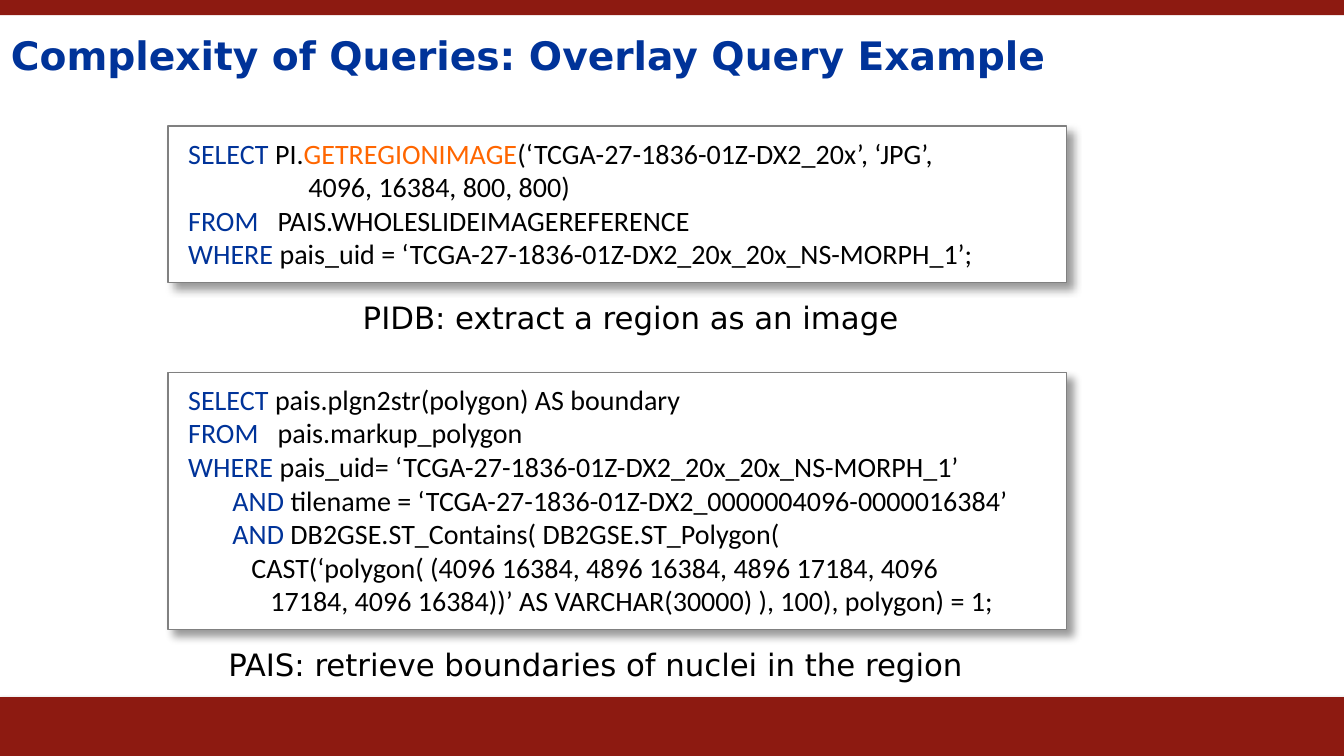
from typing import NamedTuple

import lxml.etree
import pptx
import pptx.dml.color
import pptx.enum.shapes
import pptx.enum.text
import pptx.oxml.ns
import pptx.util

RGBColor = pptx.dml.color.RGBColor
RED = RGBColor(0x8D, 0x1A, 0x11)
BLUE = RGBColor(0x00, 0x33, 0x99)
ORANGE = RGBColor(0xFF, 0x66, 0x00)
BLACK = RGBColor(0x00, 0x00, 0x00)
WHITE = RGBColor(0xFF, 0xFF, 0xFF)
GREY = RGBColor(0x80, 0x80, 0x80)

HEADING_FONT = "DejaVu Sans"
CODE_FONT = "Calibri"

# The slide is a grid of 160 columns by 90 rows
COLUMNS, ROWS = 160, 90
SLIDE_W, SLIDE_H = pptx.util.Inches(13.33), pptx.util.Inches(7.5)


class Box(NamedTuple):
    col: float
    row: float
    cols: float
    rows: float

    def place(self) -> tuple[int, int, int, int]:
        w, h = SLIDE_W / COLUMNS, SLIDE_H / ROWS
        return (round(self.col * w), round(self.row * h),
                round(self.cols * w), round(self.rows * h))


class Shadow(NamedTuple):
    opacity: int
    blur: float
    distance: float
    angle: int


class Span(NamedTuple):
    text: str
    color: RGBColor = BLACK


class Query(NamedTuple):
    box: Box
    lines: list[list[Span]]
    caption: str
    caption_box: Box


class Bar(NamedTuple):
    box: Box
    shadow: Shadow | None = None


def keyword(text: str) -> Span:
    return Span(text, BLUE)


CODE_SHADOW = Shadow(40, 6, 6, 45)

BARS = [
    Bar(Box(0, 83, COLUMNS, 7), Shadow(35, 3.1, 1.8, 90)),
    Bar(Box(0, 0, COLUMNS, 1.8)),
]

QUERIES = [
    Query(
        Box(20, 15, 107, 18.6),
        [
            [keyword("SELECT "), Span("PI."), Span("GETREGIONIMAGE", ORANGE),
             Span("(‘TCGA-27-1836-01Z-DX2_20x’, ‘JPG’,")],
            [Span("                   4096, 16384, 800, 800)")],
            [keyword("FROM"), Span("   PAIS.WHOLESLIDEIMAGEREFERENCE")],
            [keyword("WHERE "),
             Span("pais_uid = ‘TCGA-27-1836-01Z-DX2_20x_20x_NS-MORPH_1’;")],
        ],
        "PIDB: extract a region as an image",
        Box(42, 35, 68.3, 5.6),
    ),
    Query(
        Box(20, 44.3, 107, 30.7),
        [
            [keyword("SELECT"), Span(" pais.plgn2str(polygon) AS boundary")],
            [keyword("FROM   "), Span("pais.markup_polygon")],
            [keyword("WHERE "),
             Span("pais_uid= ‘TCGA-27-1836-01Z-DX2_20x_20x_NS-MORPH_1’")],
            [keyword("       AND "),
             Span("tilename = ‘TCGA-27-1836-01Z-DX2_0000004096-0000016384’")],
            [keyword("       AND"),
             Span(" DB2GSE.ST_Contains( DB2GSE.ST_Polygon(")],
            [Span("          CAST(‘polygon( (4096 16384, 4896 16384, 4896 17184, 4096")],
            [Span("             17184, 4096 16384))’ AS VARCHAR(30000) ), 100), polygon) = 1;")],
        ],
        "PAIS: retrieve boundaries of nuclei in the region",
        Box(26, 76.3, 92.3, 5.6),
    ),
]


def add_shadow(sp, shadow: Shadow) -> None:
    qn = pptx.oxml.ns.qn
    effects = sp._element.spPr.find(qn("a:effectLst"))
    outer = lxml.etree.SubElement(
        effects, qn("a:outerShdw"),
        blurRad=str(pptx.util.Pt(shadow.blur)),
        dist=str(pptx.util.Pt(shadow.distance)),
        dir=str(shadow.angle * 60000), algn="tl", rotWithShape="0")
    color = lxml.etree.SubElement(outer, qn("a:srgbClr"), val=str(BLACK))
    lxml.etree.SubElement(color, qn("a:alpha"), val=str(shadow.opacity * 1000))


def add_rect(slide, box: Box, fill: RGBColor, shadow: Shadow | None):
    sp = slide.shapes.add_shape(
        pptx.enum.shapes.MSO_SHAPE.RECTANGLE, *box.place())
    sp.shadow.inherit = False
    sp.fill.solid()
    sp.fill.fore_color.rgb = fill
    sp.line.fill.background()
    if shadow:
        add_shadow(sp, shadow)
    return sp


def set_font(p, name: str, size: int, color: RGBColor | None = None) -> None:
    p.font.name = name
    p.font.size = pptx.util.Pt(size)
    if color is not None:
        p.font.color.rgb = color


def add_title(slide, text: str) -> None:
    sp = slide.shapes.title
    sp.left, sp.top, sp.width, sp.height = Box(1.3, 2.3, 156.2, 9.5).place()
    tf = sp.text_frame
    tf.text = text
    tf.auto_size = pptx.enum.text.MSO_AUTO_SIZE.NONE
    tf.vertical_anchor = pptx.enum.text.MSO_ANCHOR.MIDDLE
    tf.margin_left = tf.margin_top = 0
    p = tf.paragraphs[0]
    p.alignment = pptx.enum.text.PP_ALIGN.LEFT
    p.line_spacing = 0.95
    set_font(p, HEADING_FONT, 28, BLUE)
    p.font.bold = True


def add_code(slide, box: Box, lines: list[list[Span]]) -> None:
    sp = add_rect(slide, box, WHITE, CODE_SHADOW)
    sp.line.color.rgb = GREY
    sp.line.width = pptx.util.Pt(0.75)
    tf = sp.text_frame
    tf.word_wrap = True
    tf.auto_size = pptx.enum.text.MSO_AUTO_SIZE.SHAPE_TO_FIT_TEXT
    tf.vertical_anchor = pptx.enum.text.MSO_ANCHOR.TOP
    tf.margin_left = tf.margin_right = pptx.util.Inches(0.2)
    tf.margin_top = tf.margin_bottom = pptx.util.Inches(0.1)
    for i, line in enumerate(lines):
        p = tf.add_paragraph() if i else tf.paragraphs[0]
        p.alignment = pptx.enum.text.PP_ALIGN.LEFT
        set_font(p, CODE_FONT, 20)
        for span in line:
            r = p.add_run()
            r.text = span.text
            r.font.color.rgb = span.color


def add_caption(slide, box: Box, text: str) -> None:
    tf = slide.shapes.add_textbox(*box.place()).text_frame
    tf.text = text
    tf.word_wrap = False
    tf.auto_size = pptx.enum.text.MSO_AUTO_SIZE.SHAPE_TO_FIT_TEXT
    set_font(tf.paragraphs[0], HEADING_FONT, 22, BLACK)


def main() -> None:
    prs = pptx.Presentation()
    prs.slide_width, prs.slide_height = SLIDE_W, SLIDE_H
    slide = prs.slides.add_slide(prs.slide_layouts.get_by_name("Title Only"))

    # Bars along the bottom and top edges
    for bar in BARS:
        add_rect(slide, bar.box, RED, bar.shadow)

    add_title(slide, "Complexity of Queries: Overlay Query Example")

    # Each query with its caption below
    for query in QUERIES:
        add_code(slide, query.box, query.lines)
        add_caption(slide, query.caption_box, query.caption)

    prs.save("out.pptx")


if __name__ == "__main__":
    main()
